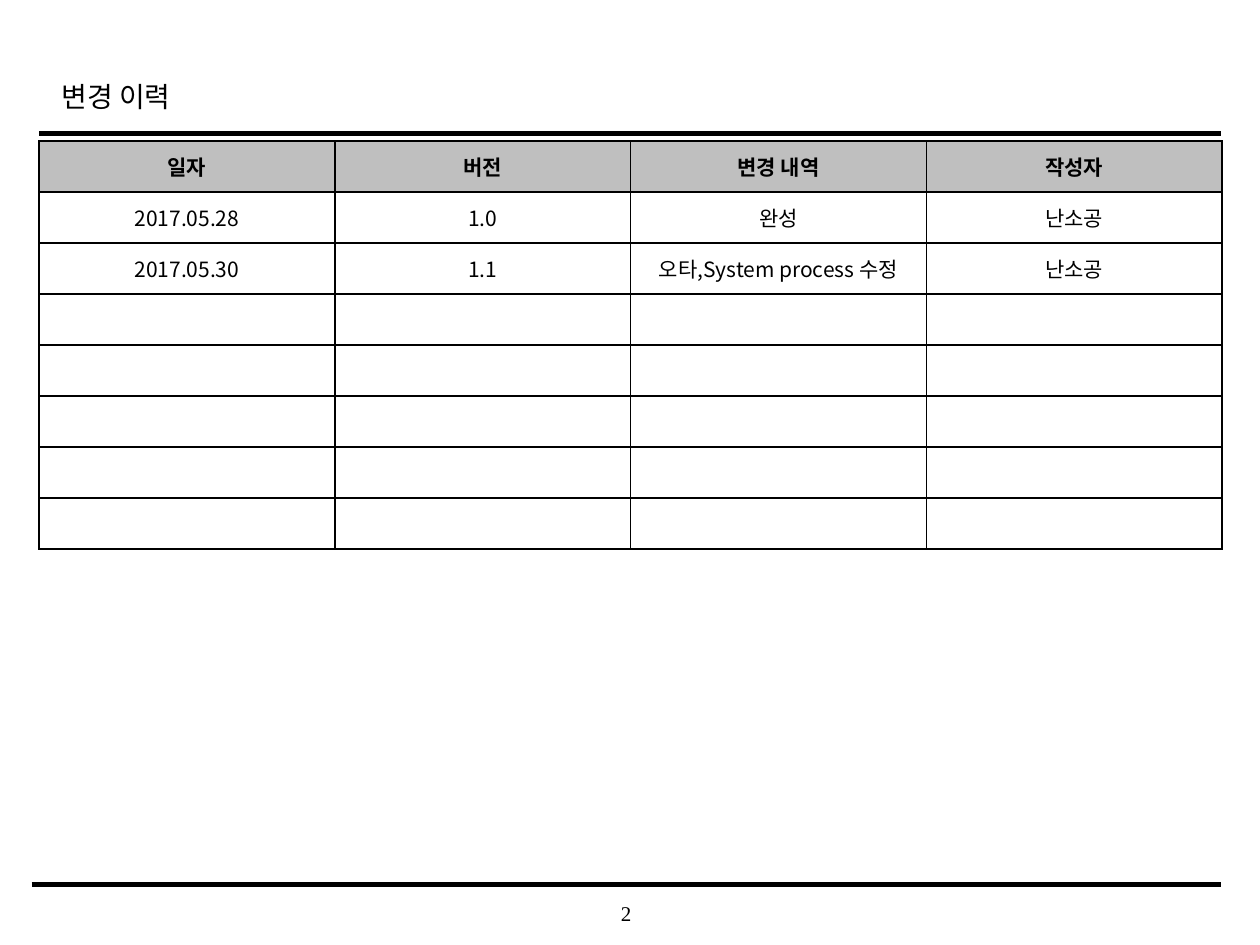
"""Build the change history slide."""
from lxml import etree
from pptx import Presentation, util as u
from pptx.dml.color import RGBColor
from pptx.enum import shapes, text
from pptx.oxml.ns import qn

WIDTH, HEIGHT = 10, 7.5
BLACK, WHITE, GREY = "000000", "FFFFFF", "BFBFBF"
SERIF, KOREAN = "Times New Roman", "Noto Sans CJK KR"
TITLE = "변경 이력"
PAGE_NUMBER = "2"
HEADERS = ["일자", "버전", "변경 내역", "작성자"]
CHANGES = [
    ["2017.05.28", "1.0", "완성", "난소공"],
    ["2017.05.30", "1.1", "오타,System process 수정", "난소공"],
]
EMPTY_ROWS = 5
RULES = [(0.31, 1.06, 2.5), (0.25, 7.02, 3)]
RULE_END = 9.69
TABLE_BOX = (0.31, 1.12, 9.39, 3.24)


def colour(value):
    """Turn a hex string into a colour."""
    return RGBColor.from_string(value)


def set_all(target, values):
    """Set attributes from a dict."""
    for name, value in values.items():
        setattr(target, name, value)


def write(frame, content, font, size, align, bold=False):
    """Write one formatted line into a text frame."""
    paragraph = frame.paragraphs[0]
    paragraph.alignment = align
    run = paragraph.add_run()
    run.text = content
    set_all(run.font, {"name": font, "size": u.Pt(size), "bold": bold})
    run.font.color.rgb = colour(BLACK)
    latin = run.font._element.find(qn("a:latin"))
    east_asian = etree.Element(qn("a:ea"), typeface=KOREAN)
    latin.addnext(east_asian)
    return paragraph


def add_text(slide, box, content, size, align, margin):
    """Add a vertically centred text box."""
    frame = slide.shapes.add_textbox(*map(u.Inches, box)).text_frame
    set_all(frame, {"word_wrap": True, "vertical_anchor": text.MSO_ANCHOR.MIDDLE})
    if not margin:
        set_all(frame, dict.fromkeys(
            ["margin_left", "margin_right", "margin_top", "margin_bottom"], 0))
    return write(frame, content, SERIF, size, align)


def add_rule(slide, left, top, weight):
    """Draw a horizontal rule."""
    line = slide.shapes.add_connector(
        shapes.MSO_CONNECTOR.STRAIGHT, *map(u.Inches, (left, top, RULE_END, top)))
    line.line.color.rgb = colour(BLACK)
    line.line.width = u.Pt(weight)
    etree.SubElement(line._element.spPr, qn("a:effectLst"))


def add_borders(cell):
    """Give a cell a thin black border on every side."""
    properties = cell._tc.get_or_add_tcPr()
    for index, side in enumerate(["lnL", "lnR", "lnT", "lnB"]):
        border = etree.Element(qn(f"a:{side}"), w=str(u.Pt(1)))
        fill = etree.SubElement(border, qn("a:solidFill"))
        etree.SubElement(fill, qn("a:srgbClr"), val=BLACK)
        properties.insert(index, border)


def add_history(slide):
    """Add the change table."""
    rows = [HEADERS] + CHANGES + [[""] * len(HEADERS)] * EMPTY_ROWS
    table = slide.shapes.add_table(
        len(rows), len(HEADERS), *map(u.Inches, TABLE_BOX)).table
    for row_index, row in enumerate(rows):
        header = row_index == 0
        for column_index, content in enumerate(row):
            cell = table.cell(row_index, column_index)
            set_all(cell, {"vertical_anchor": text.MSO_ANCHOR.MIDDLE,
                           "margin_top": u.Inches(0.03),
                           "margin_bottom": u.Inches(0.03)})
            cell.fill.solid()
            cell.fill.fore_color.rgb = colour(GREY if header else WHITE)
            add_borders(cell)
            if content:
                write(cell.text_frame, content, KOREAN, 12, text.PP_ALIGN.CENTER, header)


def main():
    """Assemble and save the slide."""
    presentation = Presentation()
    set_all(presentation, {"slide_width": u.Inches(WIDTH),
                           "slide_height": u.Inches(HEIGHT)})
    slide = presentation.slides.add_slide(presentation.slide_layouts[6])
    add_text(slide, (3.93, 7.08, 2.08, 0.33), PAGE_NUMBER, 12, text.PP_ALIGN.CENTER, False)
    for rule in RULES:
        add_rule(slide, *rule)
    title = add_text(slide, (0.39, 0.49, 7.55, 0.5), TITLE, 16, text.PP_ALIGN.LEFT, True)
    title.line_spacing = 1.2
    add_history(slide)
    presentation.save("out.pptx")


if __name__ == "__main__":
    main()
